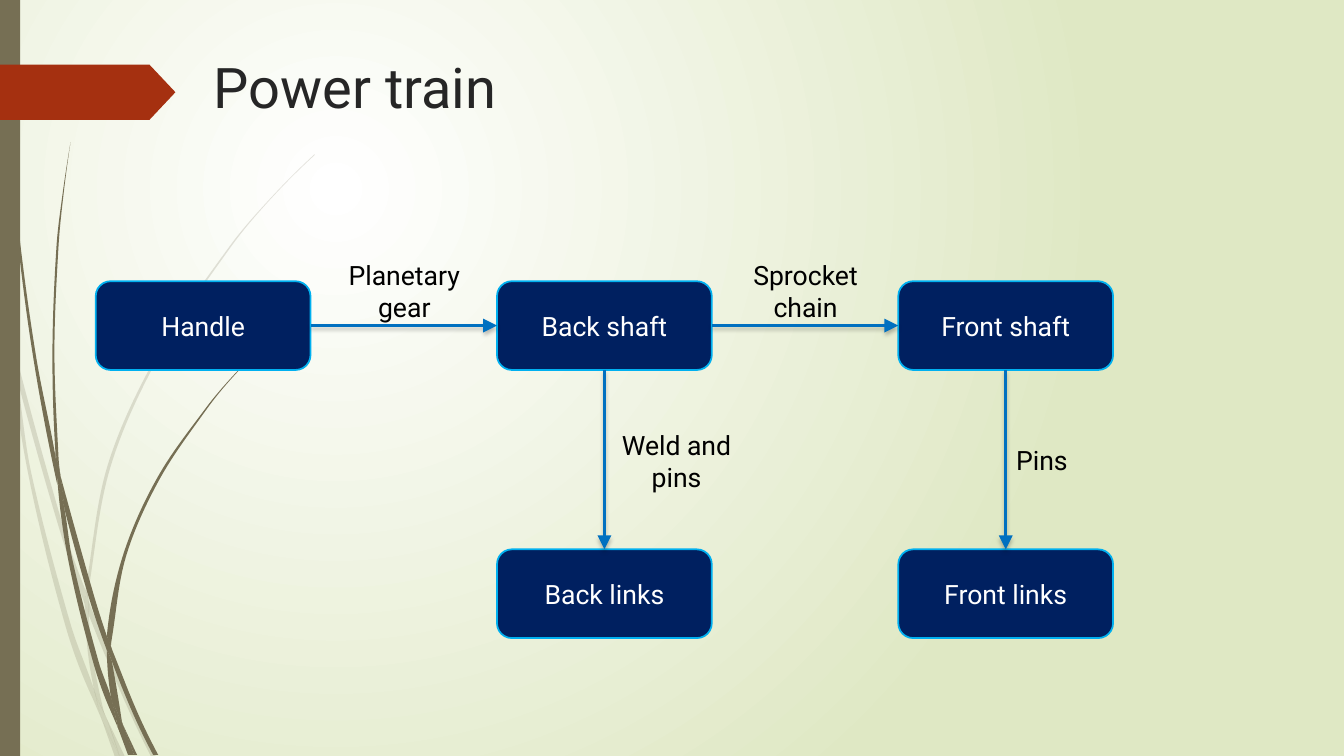
from math import dist

from pptx import Presentation
from pptx.dml.color import RGBColor
from pptx.enum.shapes import MSO_CONNECTOR, MSO_SHAPE
from pptx.enum.text import MSO_ANCHOR, MSO_AUTO_SIZE, PP_ALIGN
from pptx.oxml import parse_xml
from pptx.oxml.ns import nsdecls, qn
from pptx.util import Pt

PX = 9144  # 100 px to the inch
FONT = "Roboto"
OLIVE, RUST, NAVY = "766F54", "A53010", "002060"
SKY, BLUE = "00B0F0", "0070C0"
BOX_WIDTH, BOX_HEIGHT = 213, 88
COLUMNS = [95 + 398 * i for i in range(3)]
SHAFT_ROW, LINK_ROW = 279, 545
TOP, LEFT, BOTTOM, RIGHT = range(4)

# Pieces of grass: one edge downwards, the other edge back up
PALE_GRASS = [
    ([(0, 282), (9, 322), (11, 350)], [(10, 344), (0, 299)]),
    ([(14, 345), (62, 520), (85, 586)], [(84, 599), (58, 522), (17, 376)]),
    ([(88, 596), (92, 607), (127, 692), (155, 751)], [(150, 751), (123, 694), (88, 610)]),
    ([(105, 711), (124, 751)], [(119, 751)]),
    ([(11, 350), (17, 376), (31, 469), (70, 619), (93, 683), (99, 707), (101, 714)],
     [(92, 693), (65, 621), (28, 470), (11, 350)]),
    ([(84, 599), (87, 646), (93, 683), (96, 692), (105, 711)],
     [(103, 706), (91, 646), (88, 610), (88, 608)]),
    ([(312, 153), (268, 197), (228, 244), (158, 348), (107, 461), (85, 584), (85, 586)],
     [(88, 596), (88, 584), (110, 462), (160, 349), (229, 245), (268, 198), (312, 154)]),
    ([(101, 714), (119, 751)], [(114, 751)]),
    ([(85, 586), (88, 596), (88, 610)], [(88, 608), (84, 599)]),
    ([(93, 683), (96, 692), (105, 711), (119, 751)], [(101, 714), (99, 707)]),
]
DARK_GRASS = [
    ([(4, 0), (5, 48), (8, 109), (19, 232), (36, 355), (55, 453), (57, 481)],
     [(56, 477), (33, 355), (17, 233), (7, 110), (4, 48), (3, 0)]),
    ([(60, 472), (93, 590), (106, 631)], [(106, 645), (88, 592), (64, 505)]),
    ([(110, 641), (113, 649), (136, 706), (157, 749)], [(152, 749), (132, 708), (111, 656)]),
    ([(57, 477), (64, 505), (72, 556), (98, 657), (110, 691), (116, 717), (117, 722)],
     [(111, 708), (93, 659), (68, 557), (57, 477)]),
    ([(70, 141), (63, 193), (58, 245), (54, 349), (58, 453), (60, 472)],
     [(55, 449), (52, 349), (56, 245), (62, 193), (70, 141)]),
    ([(122, 719), (136, 749)], [(133, 749)]),
    ([(55, 449), (60, 472), (64, 505)], [(57, 477), (55, 453)]),
    ([(260, 344), (231, 373), (204, 405), (156, 474), (122, 551), (106, 631)],
     [(110, 641), (111, 633), (125, 552), (158, 476), (205, 406), (231, 374), (261, 344)]),
    ([(117, 722), (131, 749)], [(127, 749)]),
    ([(106, 645), (110, 691), (116, 706), (122, 719)], [(121, 716), (111, 656), (109, 651)]),
    ([(106, 631), (110, 641), (111, 656)], [(109, 651), (106, 645)]),
    ([(110, 691), (116, 706), (122, 719), (133, 749)], [(130, 749), (117, 722), (116, 717)]),
]


def color(value):
    return RGBColor.from_string(value)


def emu(*lengths):
    return [round(length * PX) for length in lengths]


def paint(shape, fill, line=None):
    shape.shadow.inherit = False
    shape.fill.solid()
    shape.fill.fore_color.rgb = color(fill)
    if line:
        shape.line.color.rgb = color(line)
        shape.line.width = Pt(1.25)
    else:
        shape.line.fill.background()


def write(shape, text, size, text_color, align, anchor):
    frame = shape.text_frame
    frame.word_wrap = True
    frame.auto_size = MSO_AUTO_SIZE.NONE
    frame.vertical_anchor = anchor
    frame.text = text
    paragraph = frame.paragraphs[0]
    paragraph.alignment = align
    paragraph.font.name = FONT
    paragraph.font.size = Pt(size)
    paragraph.font.color.rgb = color(text_color)


def curve_through(points):
    """Two control points and an end point for each span of a smooth curve."""
    spans = list(zip(points, points[1:]))
    lengths = [dist(start, end) for start, end in spans]
    chords = [[(q - p) / length for p, q in zip(*span)] for span, length in zip(spans, lengths)]
    slopes = [[(q - p) / (lengths[i] + lengths[i + 1])
               for p, q in zip(points[i], points[i + 2])] for i in range(len(spans) - 1)]
    if slopes:
        first, last = ([2 * c - m for c, m in zip(chords[i], slopes[i])] for i in (0, -1))
        slopes = [first, *slopes, last]
    else:
        slopes = chords * 2
    curve = []
    for i, (start, end) in enumerate(spans):
        third = lengths[i] / 3
        curve += [[p + third * m for p, m in zip(start, slopes[i])],
                  [p - third * m for p, m in zip(end, slopes[i + 1])], end]
    return curve


def add_grass(slide, pieces, alpha=100):
    group = slide.shapes.add_group_shape()
    for down, up in pieces:
        outline = curve_through(down) + curve_through([down[-1], up[0]]) + curve_through(up)
        builder = group.shapes.build_freeform(*emu(*down[0]))
        builder.add_line_segments([emu(*point) for point in outline], close=True)
        piece = builder.convert_to_shape()
        paint(piece, OLIVE)
        if alpha < 100:
            tint = piece.fill._xPr.find(f".//{qn('a:srgbClr')}")
            tint.append(parse_xml(f'<a:alpha {nsdecls("a")} val="{alpha * 1000}"/>'))
        # Every three points make one curve
        lines = list(piece._element.iter(qn("a:lnTo")))
        for i in range(0, len(lines), 3):
            curve = parse_xml(f'<a:cubicBezTo {nsdecls("a")}/>')
            lines[i].addprevious(curve)
            for line in lines[i:i + 3]:
                curve.append(line[0])
                line.getparent().remove(line)


def add_background(slide):
    fill = slide.background.fill
    fill.gradient()
    for stop, value in zip(fill.gradient_stops, ("FFFFFF", "DFE8C4")):
        stop.color.rgb = color(value)
    gradient = slide.element.find(f".//{qn('a:gradFill')}")
    gradient.replace(gradient.find(qn("a:lin")), parse_xml(
        f'<a:path {nsdecls("a")} path="circle">'
        '<a:fillToRect l="50000" t="50000" r="100000" b="100000"/></a:path>'))


def add_decoration(slide):
    add_grass(slide, PALE_GRASS, alpha=20)
    add_grass(slide, DARK_GRASS)
    bar = slide.shapes.add_shape(MSO_SHAPE.RECTANGLE, *emu(0, 0, 20, 750))
    paint(bar, OLIVE)
    tag = slide.shapes.add_shape(MSO_SHAPE.PENTAGON, *emu(0, 64, 174, 55))
    tag.adjustments[0] = 0.47
    paint(tag, RUST)


def add_box(slide, text, left, top):
    box = slide.shapes.add_shape(
        MSO_SHAPE.ROUNDED_RECTANGLE, *emu(left, top, BOX_WIDTH, BOX_HEIGHT))
    paint(box, NAVY, SKY)
    write(box, text, 19, "FFFFFF", PP_ALIGN.CENTER, MSO_ANCHOR.MIDDLE)
    return box


def add_arrow(slide, start, start_side, end, end_side):
    arrow = slide.shapes.add_connector(MSO_CONNECTOR.STRAIGHT, 0, 0, 0, 0)
    arrow.begin_connect(start, start_side)
    arrow.end_connect(end, end_side)
    arrow.line.color.rgb = color(BLUE)
    arrow.line.width = Pt(1.75)
    arrow.line._get_or_add_ln().append(parse_xml(
        f'<a:tailEnd {nsdecls("a")} type="triangle" w="lg" len="lg"/>'))
    arrow._element.spPr.append(parse_xml(
        f'<a:effectLst {nsdecls("a")}><a:outerShdw blurRad="38100" dist="25400" dir="5400000"'
        ' rotWithShape="0"><a:srgbClr val="000000"><a:alpha val="25000"/></a:srgbClr>'
        '</a:outerShdw></a:effectLst>'))


def add_label(slide, text, left, top, height=71, align=PP_ALIGN.CENTER):
    label = slide.shapes.add_textbox(*emu(left, top, 134, height))
    write(label, text, 19, "000000", align, MSO_ANCHOR.TOP)


def main():
    presentation = Presentation()
    presentation.slide_width, presentation.slide_height = emu(1333, 750)
    slide = presentation.slides.add_slide(presentation.slide_layouts[5])
    add_background(slide)
    add_decoration(slide)

    # Title
    title = slide.shapes.title
    title.left, title.top, title.width, title.height = emu(202, 47, 1056, 90)
    write(title, "Power train", 40, "262626", PP_ALIGN.LEFT, MSO_ANCHOR.TOP)

    # Parts of the power train
    handle, back_shaft, front_shaft = [
        add_box(slide, text, left, SHAFT_ROW)
        for text, left in zip(("Handle", "Back shaft", "Front shaft"), COLUMNS)]
    back_links, front_links = [
        add_box(slide, text, left, LINK_ROW)
        for text, left in zip(("Back links", "Front links"), COLUMNS[1:])]

    # Arrows and labels between parts
    add_arrow(slide, handle, RIGHT, back_shaft, LEFT)
    add_arrow(slide, back_shaft, RIGHT, front_shaft, LEFT)
    add_arrow(slide, back_shaft, BOTTOM, back_links, TOP)
    add_arrow(slide, front_shaft, BOTTOM, front_links, TOP)
    add_label(slide, "Planetary gear", 334, 252)
    add_label(slide, "Sprocket chain", 732, 252)
    add_label(slide, "Weld and pins", 604, 421)
    add_label(slide, "Pins", 998, 436, 40, PP_ALIGN.LEFT)

    presentation.save("out.pptx")


if __name__ == "__main__":
    main()
